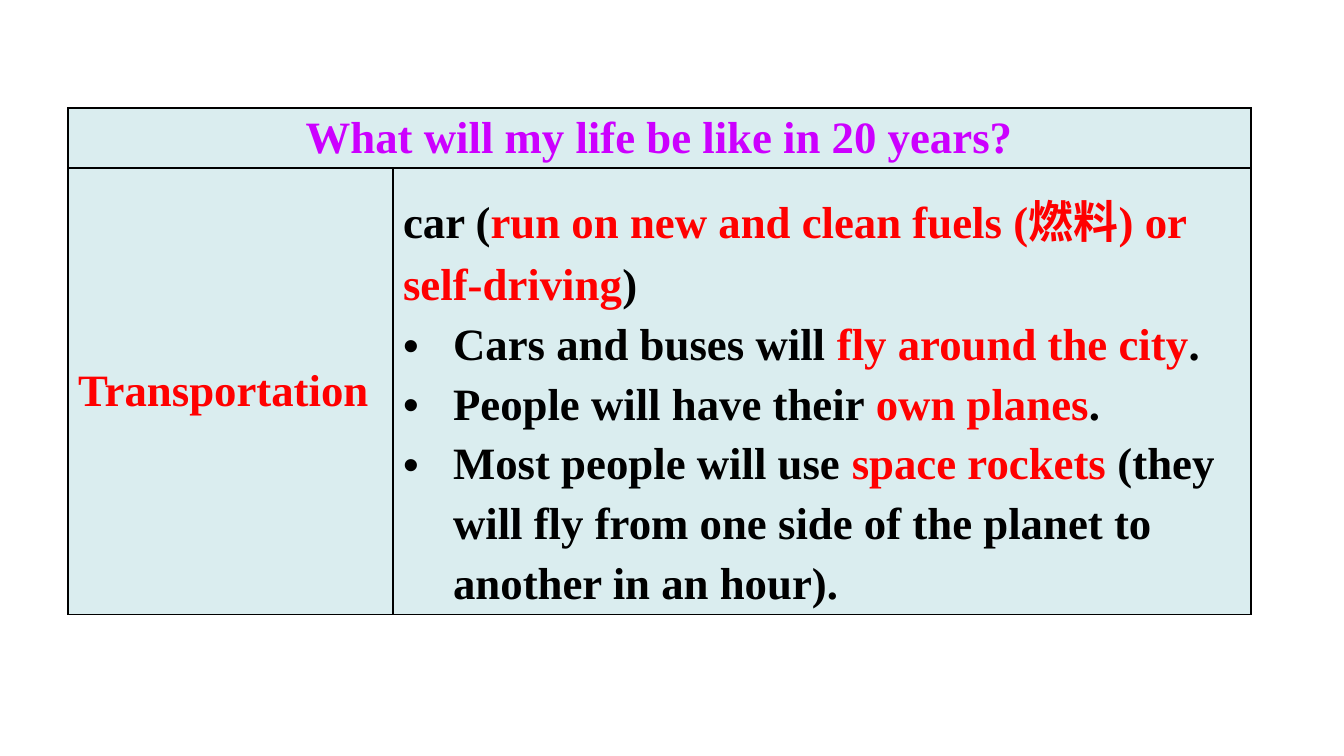
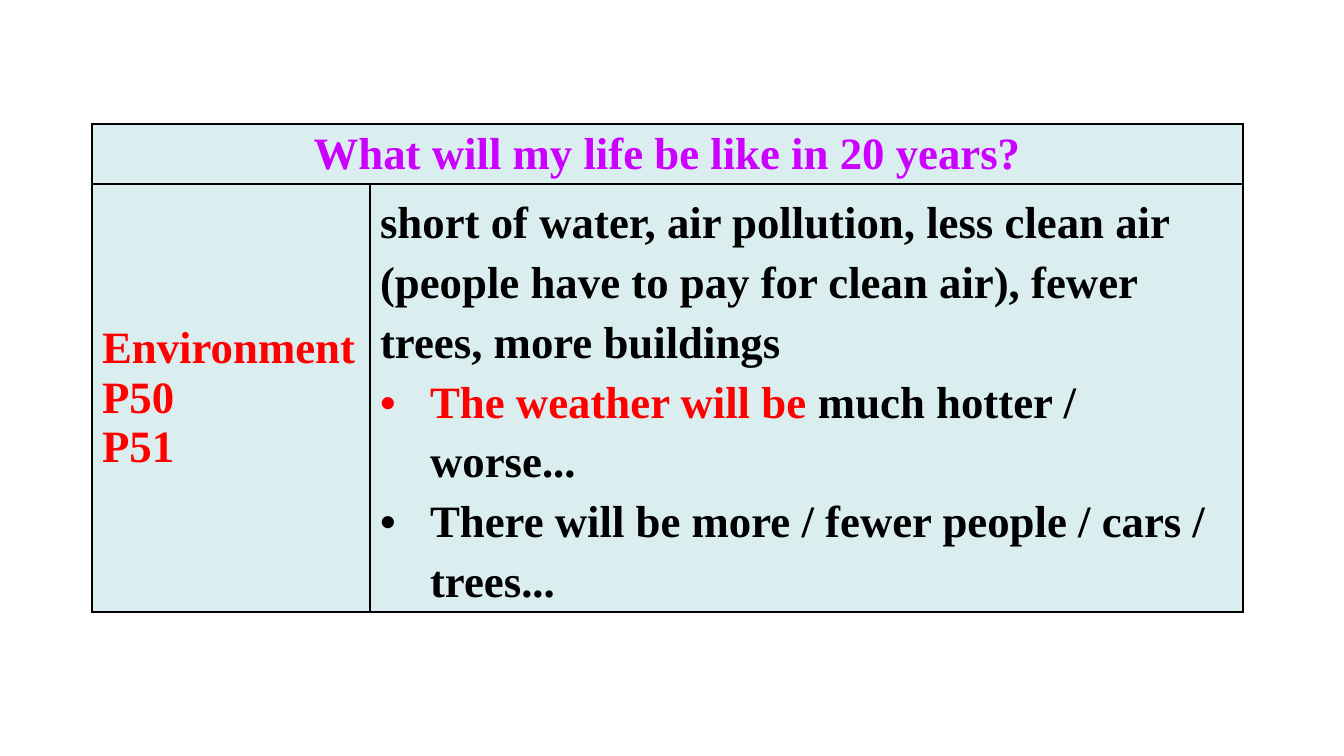
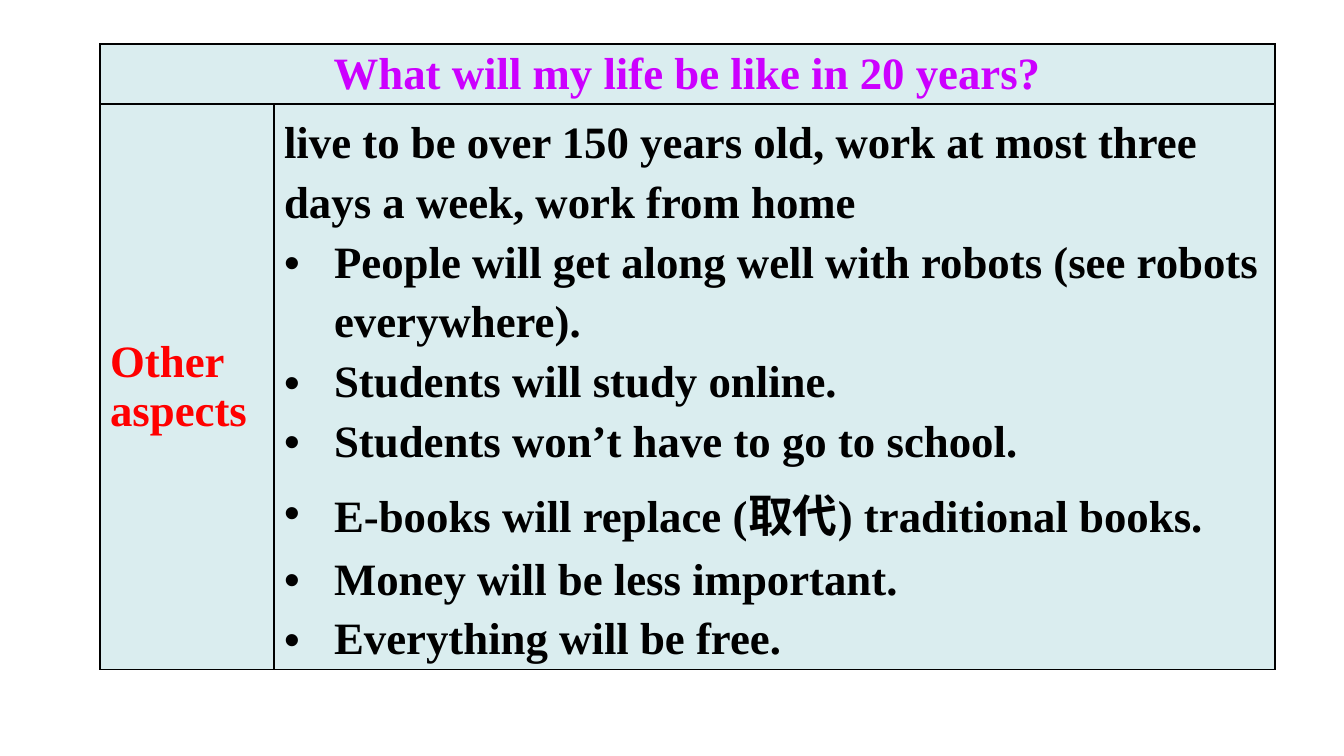
from lxml import etree
from pptx import Presentation
from pptx.dml.color import RGBColor
from pptx.enum.text import MSO_ANCHOR, PP_ALIGN
from pptx.oxml.ns import qn
from pptx.util import Emu, Pt

MIDDLE, TOP = MSO_ANCHOR.MIDDLE, MSO_ANCHOR.TOP
CENTER, LEFT = PP_ALIGN.CENTER, PP_ALIGN.LEFT

SLIDE_W, SLIDE_H = 1344, 756
PX = 12192000 / SLIDE_W
INDENT = 50
HEADER_H = 60
BORDER_PT = 1
FONT = {"name": "Times New Roman", "size": Pt(32), "bold": True}
COLOURS = {"cell": "DAEDEF", "heading": "CC00FF", "key": "FF0000",
           "text": "000000", "border": "000000", "page": "FFFFFF"}
HEADING = "What will my life be like in 20 years?"

# In each line of text, the parts between bars are shown in the key colour.
TOPICS = [
    {
        "left": 68, "top": 108, "columns": (325, 858), "body": 446,
        "topic": ["Transportation"],
        "ideas": "car (|run on new and clean fuels (燃料) or self-driving|)",
        "sentences": [
            "Cars and buses will |fly around the city|.",
            "People will have their |own planes|.",
            "Most people will use |space rockets| (they will fly from one side "
            "of the planet to another in an hour).",
        ],
    },
    {
        "left": 92, "top": 124, "columns": (278, 873), "body": 428,
        "topic": ["Environment", "P50", "P51"],
        "ideas": "short of water, air pollution, less clean air (people have "
                 "to pay for clean air), fewer trees, more buildings",
        "sentences": [
            "|The weather will be| much hotter / worse...",
            "There will be more / fewer people / cars / trees...",
        ],
    },
    {
        "left": 100, "top": 44, "columns": (174, 1001), "body": 565,
        "topic": ["Other aspects"],
        "ideas": "live to be over 150 years old, work at most three days "
                 "a week, work from home",
        "sentences": [
            "People will get along well with robots (see robots everywhere).",
            "Students will study online.",
            "Students won’t have to go to school.",
            "E-books will replace (取代) traditional books.",
            "Money will be less important.",
            "Everything will be free.",
        ],
    },
]


def px(length):
    """Turn pixels into EMU."""
    return Emu(round(length * PX))


def fill_cell(cell, lines, colour="text", align=LEFT, anchor=TOP,
              spacing=None, bullets_from=None):
    """Write lines into a bordered cell; bullets start at the given line."""
    properties = cell._tc.get_or_add_tcPr()
    for side in ("lnL", "lnR", "lnT", "lnB"):
        line = etree.SubElement(properties, qn(f"a:{side}"), w=str(Pt(BORDER_PT)))
        solid = etree.SubElement(line, qn("a:solidFill"))
        etree.SubElement(solid, qn("a:srgbClr"), val=COLOURS["border"])
    cell.fill.solid()
    cell.fill.fore_color.rgb = RGBColor.from_string(COLOURS["cell"])
    cell.vertical_anchor = anchor

    frame = cell.text_frame
    for number, text in enumerate(lines):
        para = frame.add_paragraph() if number else frame.paragraphs[0]
        if bullets_from is not None and number >= bullets_from:
            para_format = para._p.get_or_add_pPr()
            para_format.set("marL", str(px(INDENT)))
            para_format.set("indent", str(-px(INDENT)))
            etree.SubElement(para_format, qn("a:buFont"), typeface="Arial")
            etree.SubElement(para_format, qn("a:buChar"), char="•")
        para.alignment = align
        para.line_spacing = spacing
        for position, part in enumerate(text.split("|")):
            if not part:
                continue
            span = para.add_run()
            span.text = part
            for name, value in FONT.items():
                setattr(span.font, name, value)
            shade = COLOURS["key" if position % 2 else colour]
            span.font.color.rgb = RGBColor.from_string(shade)


deck = Presentation()
deck.slide_width, deck.slide_height = px(SLIDE_W), px(SLIDE_H)
background = deck.slide_master.background.fill
background.solid()
background.fore_color.rgb = RGBColor.from_string(COLOURS["page"])
blank = deck.slide_layouts[6]

for topic in TOPICS:
    page = deck.slides.add_slide(blank)
    heights = (HEADER_H, topic["body"])
    table = page.shapes.add_table(
        2, 2, px(topic["left"]), px(topic["top"]),
        px(sum(topic["columns"])), px(sum(heights))).table
    table.first_row = table.horz_banding = False
    for column, width in zip(table.columns, topic["columns"]):
        column.width = px(width)
    for row, height in zip(table.rows, heights):
        row.height = px(height)

    table.cell(0, 0).merge(table.cell(0, 1))
    fill_cell(table.cell(0, 0), [HEADING], "heading", align=CENTER)
    fill_cell(table.cell(0, 1), [])
    fill_cell(table.cell(1, 0), topic["topic"], "key", anchor=MIDDLE)
    fill_cell(table.cell(1, 1), [topic["ideas"], *topic["sentences"]],
              spacing=1.2, bullets_from=1)

deck.save("out.pptx")
